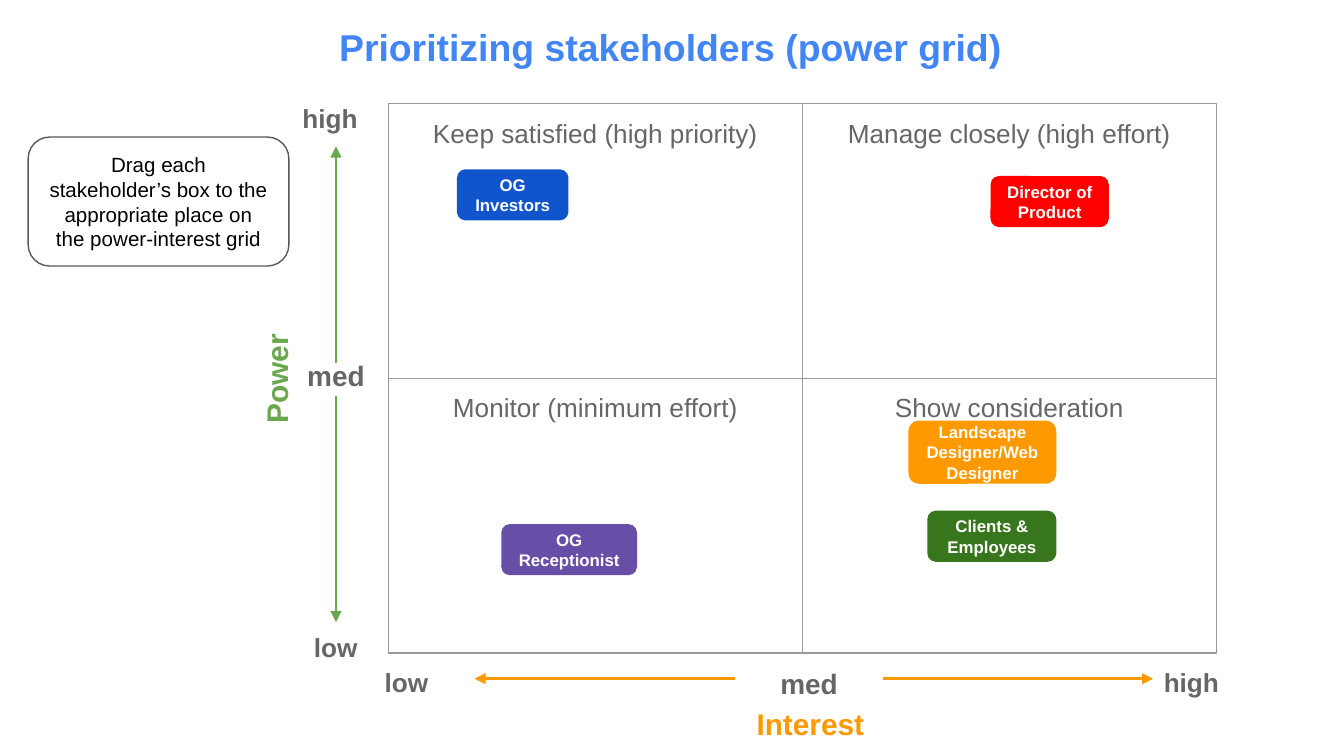
"""Build a stakeholder power-interest grid on one slide."""
from lxml import etree
from pptx import Presentation, util as u
from pptx.dml.color import RGBColor
from pptx.enum import shapes, text
from pptx.oxml import ns

BLUE = RGBColor(0x42, 0x85, 0xF4)
GRAY = RGBColor(0x66, 0x66, 0x66)
RULE = RGBColor(0x99, 0x99, 0x99)
DARK = RGBColor(0x59, 0x59, 0x59)
GREEN = RGBColor(0x6A, 0xA8, 0x4F)
GOLD = RGBColor(0xFF, 0x99, 0x00)
RED = RGBColor(0xFF, 0x00, 0x00)
NAVY = RGBColor(0x11, 0x55, 0xCC)
MOSS = RGBColor(0x38, 0x76, 0x1D)
PLUM = RGBColor(0x67, 0x4E, 0xA7)
WHITE = RGBColor(0xFF, 0xFF, 0xFF)
BLACK = RGBColor(0x00, 0x00, 0x00)

RIGHT, MID = text.PP_ALIGN.RIGHT, text.PP_ALIGN.CENTER
TOP, CORE = text.MSO_ANCHOR.TOP, text.MSO_ANCHOR.MIDDLE

WIDE, HIGH = 10, 10 * 9 / 16
TITLE = "Prioritizing stakeholders (power grid)"
NOTE = "Drag each stakeholder’s box to the appropriate place on the power-interest grid"
QUADS = [
    ["Keep satisfied (high priority)", "Manage closely (high effort)"],
    ["Monitor (minimum effort)", "Show consideration"],
]
GRID = (2.89, 0.77, 6.16, 4.09)
MARKS = {
    "power high": ("high", (1.43, 0.66, 1.33, 0.26), 14, RIGHT),
    "power med": ("med", (1.95, 2.57, 1.1, 0.38), 15, MID),
    "power low": ("low", (1.43, 4.6, 1.33, 0.26), 14, RIGHT),
    "interest low": ("low", (2.52, 4.86, 1.01, 0.38), 14, MID),
    "interest med": ("med", (5.47, 4.86, 1.1, 0.38), 15, MID),
    "interest high": ("high", (8.36, 4.86, 1.01, 0.38), 14, MID),
}
AXES = [
    ("Power", (1.6, 2.71, 0.91, 0.26), GREEN, RIGHT, CORE, 270),
    ("Interest", (5.48, 5.15, 1.1, 0.47), GOLD, MID, TOP, 0),
]
ARROWS = [
    ((2.5, 2.7), (2.5, 1.09), GREEN, None, None),
    ((2.5, 2.95), (2.5, 4.63), GREEN, ("power med", 2), None),
    ((6.57, 5.05), (8.58, 5.05), GOLD, ("interest med", 3), None),
    ((5.47, 5.05), (3.53, 5.05), GOLD, ("interest med", 1), ("interest low", 3)),
]
ROLES = [
    ("Director of Product", (7.37, 1.31, 0.88, 0.38), RED),
    ("OG Investors", (3.4, 1.26, 0.83, 0.38), NAVY),
    ("Clients & Employees", (6.9, 3.8, 0.96, 0.38), MOSS),
    ("OG Receptionist", (3.73, 3.9, 1.01, 0.38), PLUM),
    ("Landscape Designer/Web Designer", (6.76, 3.13, 1.1, 0.47), GOLD),
]

deck = Presentation()
deck.slide_width, deck.slide_height = u.Inches(WIDE), u.Inches(HIGH)
slide = deck.slides.add_slide(deck.slide_layouts[5])


def place(box):
    return [u.Inches(n) for n in box]


def write(shape, words, size=14, color=GRAY, bold=False, align=MID, anchor=TOP):
    frame = shape.text_frame
    frame.word_wrap = True
    frame.auto_size = text.MSO_AUTO_SIZE.NONE
    frame.vertical_anchor = anchor
    frame.margin_left = frame.margin_right = u.Inches(0.1)
    frame.margin_top = frame.margin_bottom = u.Inches(0.1)
    para = frame.paragraphs[0]
    para.alignment = align
    run = para.add_run()
    run.text = words
    run.font.name, run.font.size, run.font.bold = "Arial", u.Pt(size), bold
    run.font.color.rgb = color
    return shape


def block(kind, box, fill=None, line=None):
    shape = slide.shapes.add_shape(kind, *place(box))
    shape.shadow.inherit = False
    if fill is None:
        shape.fill.background()
    else:
        shape.fill.solid()
        shape.fill.fore_color.rgb = fill
    if line is None:
        shape.line.fill.background()
    else:
        shape.line.color.rgb = line
        shape.line.width = u.Pt(0.75)
    return shape


def arrow(start, end, color):
    link = slide.shapes.add_connector(shapes.MSO_CONNECTOR.STRAIGHT, *place(start + end))
    link.line.color.rgb = color
    link.line.width = u.Pt(1.5)
    props = link.element.spPr
    etree.SubElement(props.find(ns.qn("a:ln")), ns.qn("a:tailEnd"), type="triangle")
    etree.SubElement(props, ns.qn("a:effectLst"))
    return link


def main():
    head = slide.shapes.title
    head.left, head.top, head.width, head.height = place((-0.01, 0.08, WIDE, 0.49))
    write(head, TITLE, size=20, color=BLUE, bold=True)

    left, top, wide, high = GRID
    wide, high = wide / 2, high / 2
    for row, names in enumerate(QUADS):
        for col, name in enumerate(names):
            box = (left + col * wide, top + row * high, wide, high)
            write(block(shapes.MSO_SHAPE.RECTANGLE, box, line=RULE), name)

    marks = {}
    for key, (name, box, size, align) in MARKS.items():
        label = slide.shapes.add_textbox(*place(box))
        marks[key] = write(label, name, size=size, bold=True, align=align)

    for name, box, color, align, anchor, turn in AXES:
        label = slide.shapes.add_textbox(*place(box))
        label.rotation = turn
        write(label, name, size=16, color=color, bold=True, align=align, anchor=anchor)

    for start, end, color, tie, goal in ARROWS:
        link = arrow(start, end, color)
        if tie:
            link.begin_connect(marks[tie[0]], tie[1])
        if goal:
            link.end_connect(marks[goal[0]], goal[1])

    card = block(shapes.MSO_SHAPE.ROUNDED_RECTANGLE, (0.21, 1.02, 1.94, 0.96), line=DARK)
    write(card, NOTE, size=11, color=BLACK, anchor=CORE)
    for name, box, color in ROLES:
        role = block(shapes.MSO_SHAPE.ROUNDED_RECTANGLE, box, fill=color)
        write(role, name, size=9, color=WHITE, bold=True, anchor=CORE)

    deck.save("out.pptx")


if __name__ == "__main__":
    main()
